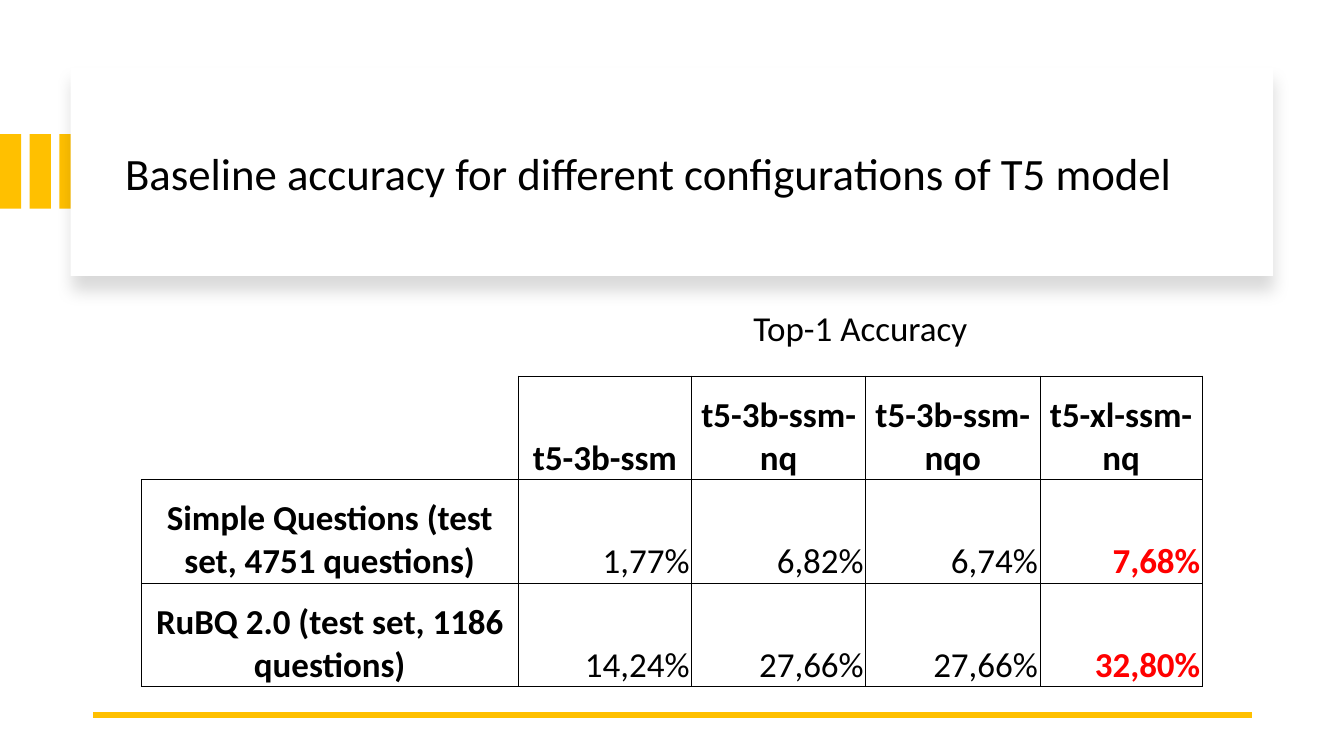
from dataclasses import dataclass

from lxml import etree
from pptx import Presentation
from pptx.dml.color import RGBColor
from pptx.enum.shapes import MSO_CONNECTOR, MSO_SHAPE
from pptx.enum.text import MSO_ANCHOR, PP_ALIGN
from pptx.oxml.ns import qn
from pptx.util import Pt


@dataclass(frozen=True)
class Theme:
    font: str = "Calibri"
    accent: RGBColor = RGBColor(0xFF, 0xC0, 0x00)
    text: RGBColor = RGBColor(0, 0, 0)
    paper: RGBColor = RGBColor(0xFF, 0xFF, 0xFF)
    best: RGBColor = RGBColor(0xFF, 0, 0)
    title_size: float = 32
    table_size: float = 25
    border: float = 0.5
    rule: float = 4.5


THEME = Theme()
MODELS = ["t5-3b-ssm", "t5-3b-ssm-nq", "t5-3b-ssm-nqo", "t5-xl-ssm-nq"]
ROWS = [
    ["", "Top-1 Accuracy", "", "", ""],
    [""] + MODELS,
    ["Simple Questions (test set, 4751 questions)", "1,77%", "6,82%", "6,74%", "7,68%"],
    ["RuBQ 2.0 (test set, 1186 questions)", "14,24%", "27,66%", "27,66%", "32,80%"],
]
COLUMN_WIDTHS = [269.4, 123.8, 124.4, 124.4, 116]
ROW_HEIGHTS = [55.4, 74, 74, 74]


def style_font(font, size, color=THEME.text, bold=False):
    font.name = THEME.font
    font.size = Pt(size)
    font.bold = bold
    font.color.rgb = color


def add_block(slide, left, top, width, height, color):
    shape = slide.shapes.add_shape(
        MSO_SHAPE.RECTANGLE, Pt(left), Pt(top), Pt(width), Pt(height))
    shape.shadow.inherit = False
    shape.fill.solid()
    shape.fill.fore_color.rgb = color
    shape.line.fill.background()
    return shape


def add_soft_shadow(shape):
    effects = shape.element.spPr.find(qn("a:effectLst"))
    shadow = etree.SubElement(
        effects, qn("a:outerShdw"), blurRad=str(Pt(11)), dist=str(Pt(10)),
        dir="5400000", algn="t", rotWithShape="0")
    color = etree.SubElement(shadow, qn("a:srgbClr"), val=str(THEME.text))
    etree.SubElement(color, qn("a:alpha"), val="15000")


def add_bars(slide, left, top, width, height, count=3, gap=6):
    bar_width = (width - gap * (count - 1)) / count
    for index in range(count):
        add_block(slide, left + index * (bar_width + gap), top,
                  bar_width, height, THEME.accent)


def add_title_card(slide, left, top, width, height, text):
    card = add_block(slide, left, top, width, height, THEME.paper)
    add_soft_shadow(card)
    title = slide.shapes.title
    card.element.addnext(title.element)
    title.left, title.top = Pt(left + 31.7), Pt(top + 16)
    title.width, title.height = Pt(width - 57.6), Pt(height - 26.6)
    title.text_frame.text = text
    title.text_frame.word_wrap = True
    title.text_frame.vertical_anchor = MSO_ANCHOR.MIDDLE
    paragraph = title.text_frame.paragraphs[0]
    paragraph.alignment = PP_ALIGN.LEFT
    paragraph.line_spacing = 0.9
    style_font(paragraph.runs[0].font, THEME.title_size)


def add_rule(slide, left, top, width):
    rule = slide.shapes.add_connector(
        MSO_CONNECTOR.STRAIGHT, Pt(left + width), Pt(top), Pt(left), Pt(top))
    rule.line.color.rgb = THEME.accent
    rule.line.width = Pt(THEME.rule)
    etree.SubElement(rule.element.spPr, qn("a:effectLst"))


def is_boxed(row, column):
    return row in (2, 3) and 0 <= column <= 4 or row == 1 and 1 <= column <= 4


def set_borders(cell, row, column):
    neighbours = {
        "a:lnL": (row, column - 1), "a:lnR": (row, column + 1),
        "a:lnT": (row - 1, column), "a:lnB": (row + 1, column),
    }
    properties = cell._tc.get_or_add_tcPr()
    for index, (tag, neighbour) in enumerate(neighbours.items()):
        line = etree.Element(qn(tag), w=str(Pt(THEME.border)))
        if is_boxed(row, column) or is_boxed(*neighbour):
            fill = etree.SubElement(line, qn("a:solidFill"))
            etree.SubElement(fill, qn("a:srgbClr"), val=str(THEME.text))
        else:
            etree.SubElement(line, qn("a:noFill"))
        properties.insert(index, line)


def fill_cell(cell, row, column, text):
    cell.fill.background()
    set_borders(cell, row, column)
    if not text:
        return
    is_value = row >= 2 and column >= 1
    is_best = is_value and column == 4
    if row == 0:
        cell.margin_left = cell.margin_right = Pt(15)
        cell.margin_top = cell.margin_bottom = Pt(7.2)
    else:
        cell.margin_left = cell.margin_right = cell.margin_top = Pt(1.5)
        cell.margin_bottom = Pt(0)
        cell.vertical_anchor = MSO_ANCHOR.BOTTOM
    cell.text_frame.text = text
    paragraph = cell.text_frame.paragraphs[0]
    paragraph.alignment = PP_ALIGN.RIGHT if is_value else PP_ALIGN.CENTER
    style_font(paragraph.runs[0].font, THEME.table_size,
               THEME.best if is_best else THEME.text,
               row > 0 and (is_best or not is_value))


def add_accuracy_table(slide, left, top):
    table = slide.shapes.add_table(
        len(ROWS), len(COLUMN_WIDTHS), Pt(left), Pt(top),
        Pt(sum(COLUMN_WIDTHS)), Pt(sum(ROW_HEIGHTS))).table
    table.first_row = table.horz_banding = False
    for column, width in zip(table.columns, COLUMN_WIDTHS):
        column.width = Pt(width)
    for row, height in zip(table.rows, ROW_HEIGHTS):
        row.height = Pt(height)
    table.cell(0, 1).merge(table.cell(0, 4))
    for row, texts in enumerate(ROWS):
        for column, text in enumerate(texts):
            fill_cell(table.cell(row, column), row, column, text)


def main():
    presentation = Presentation()
    presentation.slide_width, presentation.slide_height = Pt(960), Pt(540)
    slide = presentation.slides.add_slide(presentation.slide_layouts[5])
    add_bars(slide, 0, 95.8, 57.6, 53.3)
    add_title_card(slide, 50.4, 48.2, 859, 149,
                   "Baseline accuracy for different configurations of T5 model")
    add_rule(slide, 66.2, 510.5, 828)
    add_accuracy_table(slide, 100.8, 213.1)
    presentation.save("out.pptx")


if __name__ == "__main__":
    main()
